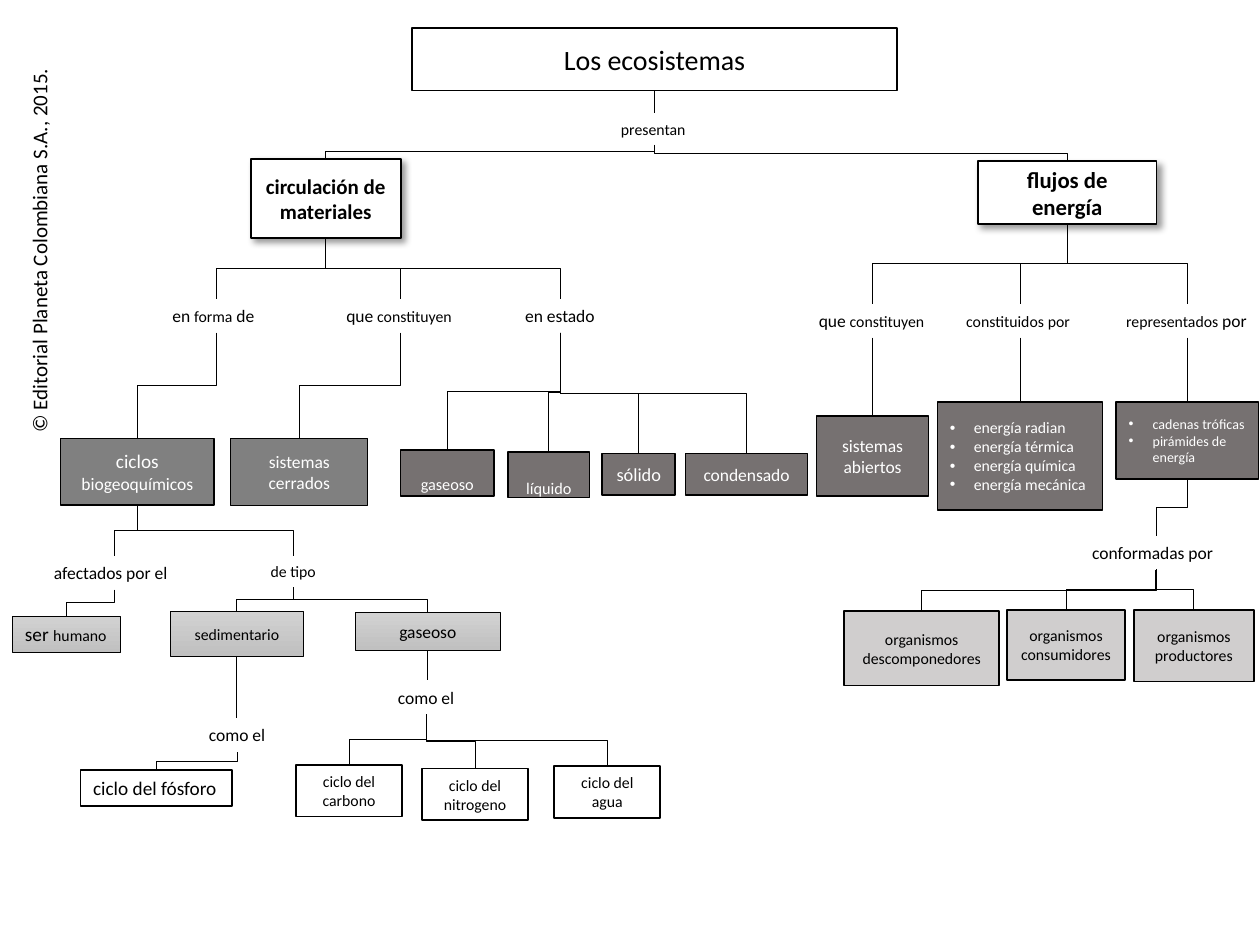
from dataclasses import dataclass

from lxml import etree
from pptx import Presentation
from pptx.dml.color import RGBColor
from pptx.enum.shapes import MSO_CONNECTOR, MSO_SHAPE
from pptx.enum.text import MSO_ANCHOR, MSO_AUTO_SIZE, PP_ALIGN
from pptx.oxml.ns import qn
from pptx.util import Inches, Pt

RECTANGLE = MSO_SHAPE.RECTANGLE
STRAIGHT, ELBOW = MSO_CONNECTOR.STRAIGHT, MSO_CONNECTOR.ELBOW
TOP, MIDDLE = MSO_ANCHOR.TOP, MSO_ANCHOR.MIDDLE
LEFT, CENTER = PP_ALIGN.LEFT, PP_ALIGN.CENTER
FIT_TEXT = MSO_AUTO_SIZE.SHAPE_TO_FIT_TEXT


@dataclass(frozen=True)
class Theme:
    font: str = "Calibri"
    black: str = "000000"
    white: str = "FFFFFF"
    dark: str = "767171"
    gray: str = "808080"
    light: str = "D0CECE"
    gradient: tuple = ("D2D2D2", "C0C0C0")
    title: float = 16
    heading: float = 13
    subheading: float = 12
    large: float = 11
    medium: float = 10.5
    normal: float = 10
    small: float = 9
    tiny: float = 8
    thin: float = 0.5
    middle: float = 0.75
    thick: float = 1


THEME = Theme()


def add_child(parent, tag, **attributes):
    return etree.SubElement(parent, qn(tag), attributes)


class ConceptMap:
    def __init__(self, slide, theme):
        self.slide = slide
        self.theme = theme

    def set_text(self, paragraph, content, size, color, align=LEFT, bold=False):
        """Content is a string, or (text, size) pairs when sizes are mixed."""
        mixed = not isinstance(content, str)
        paragraph.alignment = align
        font = paragraph.font
        font.name, font.bold = self.theme.font, bold
        font.color.rgb = RGBColor.from_string(color)
        if not mixed:
            font.size = Pt(size)
        for text, run_size in content if mixed else [(content, None)]:
            run = paragraph.add_run()
            run.text = text
            if run_size:
                run.font.size = Pt(run_size)

    def label(self, left, top, width, height, content, size=None, rotation=0):
        shape = self.slide.shapes.add_textbox(
            Inches(left), Inches(top), Inches(width), Inches(height))
        shape.rotation = rotation
        frame = shape.text_frame
        frame.word_wrap, frame.auto_size = False, FIT_TEXT
        self.set_text(frame.paragraphs[0], content, size or self.theme.normal, self.theme.black)
        return shape

    def box(self, left, top, width, height, content, size=None, fill=None,
            color=None, line=None, bold=False, hug=False):
        theme = self.theme
        shape = self.slide.shapes.add_shape(
            RECTANGLE, Inches(left), Inches(top), Inches(width), Inches(height))
        shape.shadow.inherit = False
        fill = fill or theme.white
        if isinstance(fill, tuple):
            shape.fill.gradient()
            shape.fill.gradient_angle = 270
            for stop, stop_color in zip(shape.fill.gradient_stops, fill):
                stop.color.rgb = RGBColor.from_string(stop_color)
        else:
            shape.fill.solid()
            shape.fill.fore_color.rgb = RGBColor.from_string(fill)
        shape.line.color.rgb = RGBColor.from_string(theme.black)
        shape.line.width = Pt(line or theme.thick)
        frame = shape.text_frame
        frame.word_wrap = not hug
        frame.vertical_anchor = TOP if hug else MIDDLE
        if hug:
            frame.auto_size = FIT_TEXT
        self.set_text(frame.paragraphs[0], content, size or theme.normal,
                      color or theme.black, LEFT if hug else CENTER, bold)
        return shape

    def dark_box(self, left, top, width, height, content, size=None, **style):
        style = {"fill": self.theme.dark, "color": self.theme.white, **style}
        return self.box(left, top, width, height, content, size, **style)

    def raised_box(self, left, top, width, height, content, size):
        shape = self.box(left, top, width, height, content, size, bold=True)
        effects = shape._element.spPr.find(qn("a:effectLst"))
        shadow = add_child(effects, "a:outerShdw", blurRad=str(Pt(4)), dist=str(Pt(3)),
                           dir="2700000", algn="tl", rotWithShape="0")
        color = add_child(shadow, "a:srgbClr", val=self.theme.black)
        add_child(color, "a:alpha", val="40000")
        return shape

    def lowered_box(self, left, top, width, height, content, inset):
        shape = self.dark_box(left, top, width, height, content, self.theme.title)
        frame = shape.text_frame
        frame.vertical_anchor, frame.margin_top = TOP, Inches(inset)
        frame.paragraphs[0].runs[0].font._element.set("baseline", "30000")
        return shape

    def bullet_box(self, left, top, width, height, items, size):
        shape = self.dark_box(left, top, width, height, [])
        frame = shape.text_frame
        for index, item in enumerate(items):
            paragraph = frame.add_paragraph() if index else frame.paragraphs[0]
            properties = paragraph._p.get_or_add_pPr()
            for old in list(properties):
                properties.remove(old)
            properties.set("marL", str(Inches(0.19)))
            properties.set("indent", str(-Inches(0.19)))
            add_child(properties, "a:buFont", typeface="Arial")
            add_child(properties, "a:buChar", char="•")
            self.set_text(paragraph, item, size, self.theme.white)
        return shape

    def link(self, parent, *children, width=None):
        """Join the bottom centre of the parent to the top centre of each child."""
        start_x, start_y = parent.left + parent.width // 2, parent.top + parent.height
        for child in children:
            across = child.left + child.width // 2 - start_x
            down = child.top - start_y
            if abs(across) < Inches(0.03):
                line = self.slide.shapes.add_connector(
                    STRAIGHT, start_x, start_y, start_x, child.top)
            else:
                # The elbow preset starts sideways, so it is turned to start downwards
                middle_x, middle_y = start_x + across // 2, start_y + down // 2
                half_width, half_height = down // 2, abs(across) // 2
                line = self.slide.shapes.add_connector(
                    ELBOW, middle_x - half_width, middle_y - half_height,
                    middle_x + half_width, middle_y + half_height)
                frame = line._element.spPr.find(qn("a:xfrm"))
                frame.set("rot", "5400000" if across < 0 else "16200000")
                if across > 0:
                    frame.set("flipH", "1")
            line.line.color.rgb = RGBColor.from_string(self.theme.black)
            line.line.width = Pt(width or self.theme.thin)
            add_child(line._element.spPr, "a:effectLst")


def main():
    presentation = Presentation()
    presentation.slide_width, presentation.slide_height = Inches(10), Inches(7.5)
    slide = presentation.slides.add_slide(presentation.slide_layouts[6])
    t = THEME
    chart = ConceptMap(slide, t)
    label, box, dark, link = chart.label, chart.box, chart.dark_box, chart.link
    que_constituyen = [("que ", t.normal), ("constituyen", t.small)]

    # Copyright line and top of the map
    label(-1.25, 1.82, 3.12, 0.3, "© Editorial Planeta Colombiana S.A., 2015.", t.subheading, 270)
    title = box(3.27, 0.22, 3.85, 0.5, "Los ecosistemas", t.title)
    presents = label(4.83, 0.9, 0.72, 0.25, "presentan", t.small)
    materials = chart.raised_box(1.99, 1.26, 1.19, 0.63, "circulación de materiales", t.subheading)
    energy = chart.raised_box(7.76, 1.28, 1.42, 0.5, "flujos de energía", t.heading)
    link(title, presents)
    link(presents, materials, energy)

    # Circulation of materials
    form = label(1.27, 2.37, 0.9, 0.27, [("en ", t.normal), ("forma", t.small), (" de", t.normal)])
    closed_by = label(2.65, 2.37, 1.05, 0.27, que_constituyen)
    state = label(4.07, 2.37, 0.76, 0.27, "en estado")
    cycles = dark(0.48, 3.48, 1.22, 0.53, [("ciclos ", t.large), ("biogeoquímicos", t.normal)],
                  fill=t.gray)
    closed = dark(1.83, 3.48, 1.09, 0.53, "sistemas cerrados", fill=t.gray, line=t.thin)
    gas = chart.lowered_box(3.18, 3.57, 0.74, 0.37, "gaseoso", 0.17)
    liquid = chart.lowered_box(4.03, 3.59, 0.65, 0.36, "líquido", 0.18)
    solid = dark(4.78, 3.6, 0.58, 0.33, "sólido", t.medium)
    condensed = dark(5.44, 3.6, 0.97, 0.33, "condensado")
    link(materials, form, closed_by, state)
    link(form, cycles)
    link(closed_by, closed)
    link(state, gas, liquid, solid, condensed)

    # Biogeochemical cycles
    soft = {"fill": t.gradient, "line": t.thin}
    affected = label(0.33, 4.41, 1.15, 0.27, "afectados por el")
    kind = label(2.05, 4.41, 0.56, 0.25, "de tipo", t.small)
    human = box(0.1, 4.89, 0.86, 0.29, [("ser ", t.large), ("humano", t.small)], hug=True, **soft)
    sedimentary = box(1.35, 4.85, 1.06, 0.36, "sedimentario", t.small, **soft)
    gaseous = box(2.82, 4.86, 1.15, 0.3, "gaseoso", **soft)
    sediment_example = label(1.56, 5.7, 0.65, 0.27, "como el")
    gas_example = label(3.06, 5.4, 0.65, 0.27, "como el")
    phosphorus = box(0.64, 6.11, 1.2, 0.29, "ciclo del fósforo", t.large, hug=True)
    gas_cycles = [box(left, top, 0.84, 0.41, f"ciclo del {name}", t.small) for left, top, name in
                  [(2.35, 6.07, "carbono"), (3.35, 6.1, "nitrogeno"), (4.4, 6.08, "agua")]]
    link(cycles, affected, kind)
    link(affected, human)
    link(kind, sedimentary, gaseous)
    link(sedimentary, sediment_example)
    link(sediment_example, phosphorus)
    link(gaseous, gas_example)
    link(gas_example, *gas_cycles)

    # Energy flows
    open_by = label(6.4, 2.41, 1.05, 0.27, que_constituyen)
    made_of = label(7.57, 2.41, 1.06, 0.27,
                    [("constituidos", t.small), (" ", t.normal), ("por", t.small)])
    shown_by = label(8.84, 2.41, 1.17, 0.27, [("representados", t.small), (" por", t.normal)])
    opened = dark(6.48, 3.3, 0.89, 0.64, "sistemas abiertos")
    energies = chart.bullet_box(7.44, 3.19, 1.31, 0.86, [
        f"energía {name}" for name in ("radian", "térmica", "química", "mecánica")], t.small)
    chains = chart.bullet_box(8.86, 3.19, 1.13, 0.61,
                              ["cadenas tróficas", "pirámides de energía"], t.tiny)
    formed_by = label(8.57, 4.25, 1.21, 0.27, "conformadas por")
    decomposers, consumers, producers = [
        box(left, top, width, height, f"organismos {name}", t.small, fill=t.light)
        for left, top, width, height, name in [
            (6.7, 4.85, 1.23, 0.59, "descomponedores"),
            (7.99, 4.84, 0.94, 0.56, "consumidores"),
            (9, 4.84, 0.95, 0.57, "productores")]]
    link(energy, open_by, made_of, shown_by)
    link(open_by, opened)
    link(made_of, energies, width=t.middle)
    link(shown_by, chains)
    link(chains, formed_by)
    link(formed_by, decomposers, consumers)
    link(formed_by, producers, width=t.middle)

    presentation.save("out.pptx")


if __name__ == "__main__":
    main()
